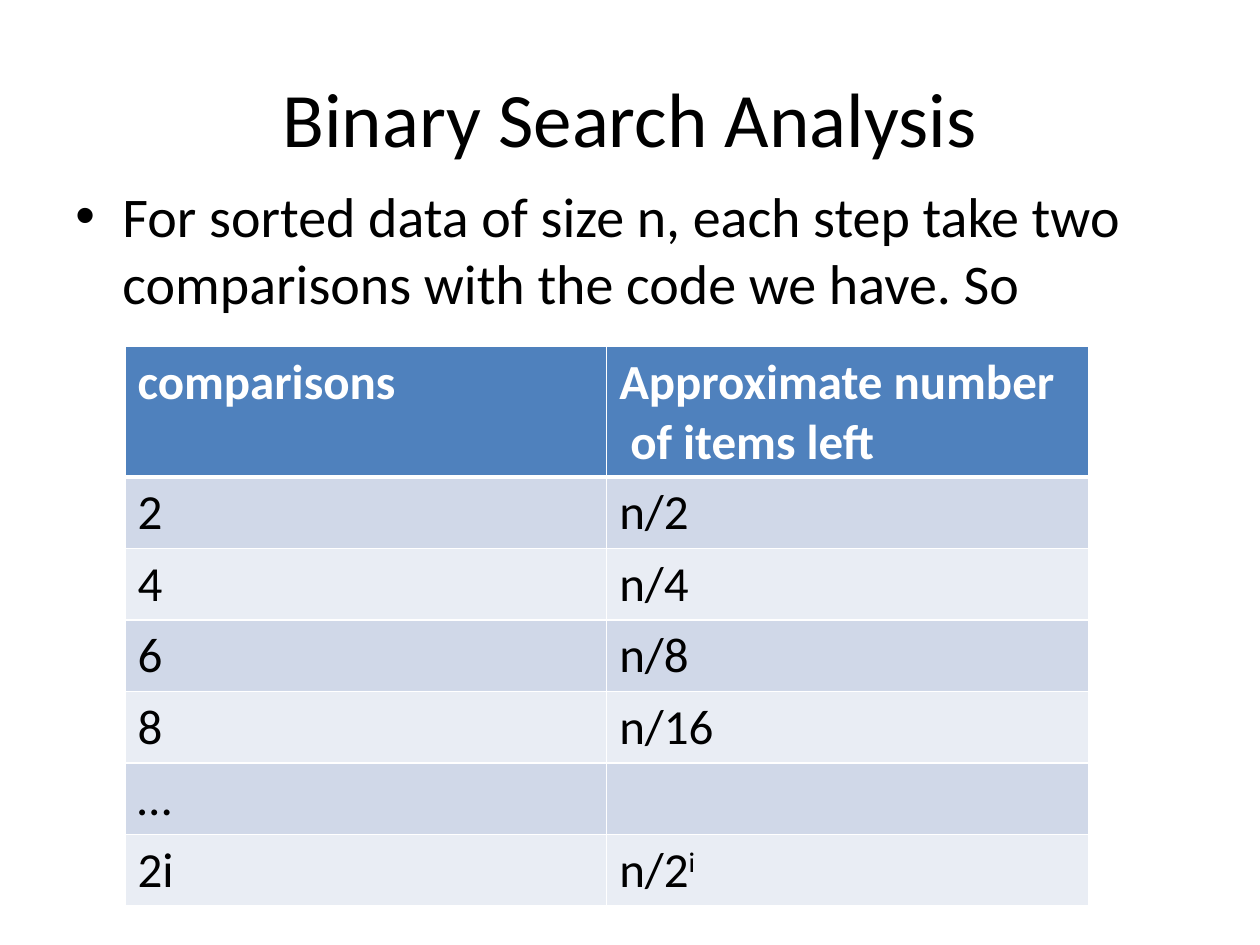
from lxml.etree import SubElement
from pptx import Presentation
from pptx.dml.color import RGBColor as RGB
from pptx.enum.text import MSO_ANCHOR as Anchor, PP_ALIGN as Align
from pptx.oxml.ns import qn
from pptx.util import Cm, Pt

COLORS = {
    "text": "000000",
    "white": "FFFFFF",
    "header": "4F81BD",
    "odd": "D0D8E8",
    "even": "E9EDF4",
}
ROWS = [
    ("comparisons", "Approximate number\v of items left"),
    ("2", "n/2"),
    ("4", "n/4"),
    ("6", "n/8"),
    ("8", "n/16"),
    ("…", ""),
    ("2i", "n/2"),
]


def style(paragraph, size, color="text", bold=False):
    font = paragraph.font
    font.name, font.size, font.bold = "Calibri", Pt(size), bold
    font.color.rgb = RGB.from_string(COLORS[color])


def add_border(cell, side, width):
    line = SubElement(cell._tc.get_or_add_tcPr(), qn(f"a:ln{side}"), w=str(Pt(width)))
    fill = SubElement(line, qn("a:solidFill"))
    SubElement(fill, qn("a:srgbClr"), val=COLORS["white"])


prs = Presentation()
prs.slide_width, prs.slide_height = Cm(25.4), Cm(19.05)
slide = prs.slides.add_slide(prs.slide_layouts[6])

# Title
title = slide.shapes.add_textbox(Cm(1.27), Cm(0.76), Cm(22.86), Cm(3.18)).text_frame
title.word_wrap = True
title.vertical_anchor = Anchor.MIDDLE
title.text = "Binary Search Analysis"
title.paragraphs[0].alignment = Align.CENTER
style(title.paragraphs[0], 44)

# Bullet
body = slide.shapes.add_textbox(Cm(1.27), Cm(3.53), Cm(22.86), Cm(12.57)).text_frame
body.word_wrap = True
body.text = "For sorted data of size n, each step take two comparisons with the code we have. So"
bullet = body.paragraphs[0]
bullet.space_before = Pt(6.4)
style(bullet, 32)
bullet_props = bullet._p.get_or_add_pPr()
bullet_props.set("marL", str(Cm(0.95)))
bullet_props.set("indent", str(-Cm(0.95)))
bullet_font = bullet_props.makeelement(qn("a:buFont"), {"typeface": "Arial"})
bullet_char = bullet_props.makeelement(qn("a:buChar"), {"char": "•"})
bullet_props.find(qn("a:defRPr")).addprevious(bullet_font)
bullet_font.addnext(bullet_char)

# Comparison table
table = slide.shapes.add_table(
    len(ROWS), 2, Cm(2.52), Cm(6.99), Cm(19.42), Cm(11.25)
).table
for row_index, values in enumerate(ROWS):
    is_header = row_index == 0
    table.rows[row_index].height = Cm(2.39 if is_header else 1.37)
    band = "header" if is_header else ("even", "odd")[row_index % 2]
    for column, value in enumerate(values):
        cell = table.cell(row_index, column)
        cell.text = value
        style(cell.text_frame.paragraphs[0], 28, "white" if is_header else "text", is_header)
        add_border(cell, "L", 1)
        add_border(cell, "R", 1)
        add_border(cell, "T", 3 if row_index == 1 else 1)
        add_border(cell, "B", 3 if is_header else 1)
        cell.fill.solid()
        cell.fill.fore_color.rgb = RGB.from_string(COLORS[band])

exponent = table.cell(len(ROWS) - 1, 1).text_frame.paragraphs[0].add_run()
exponent.text = "i"
exponent._r.get_or_add_rPr().set("baseline", "30000")

prs.save("out.pptx")
